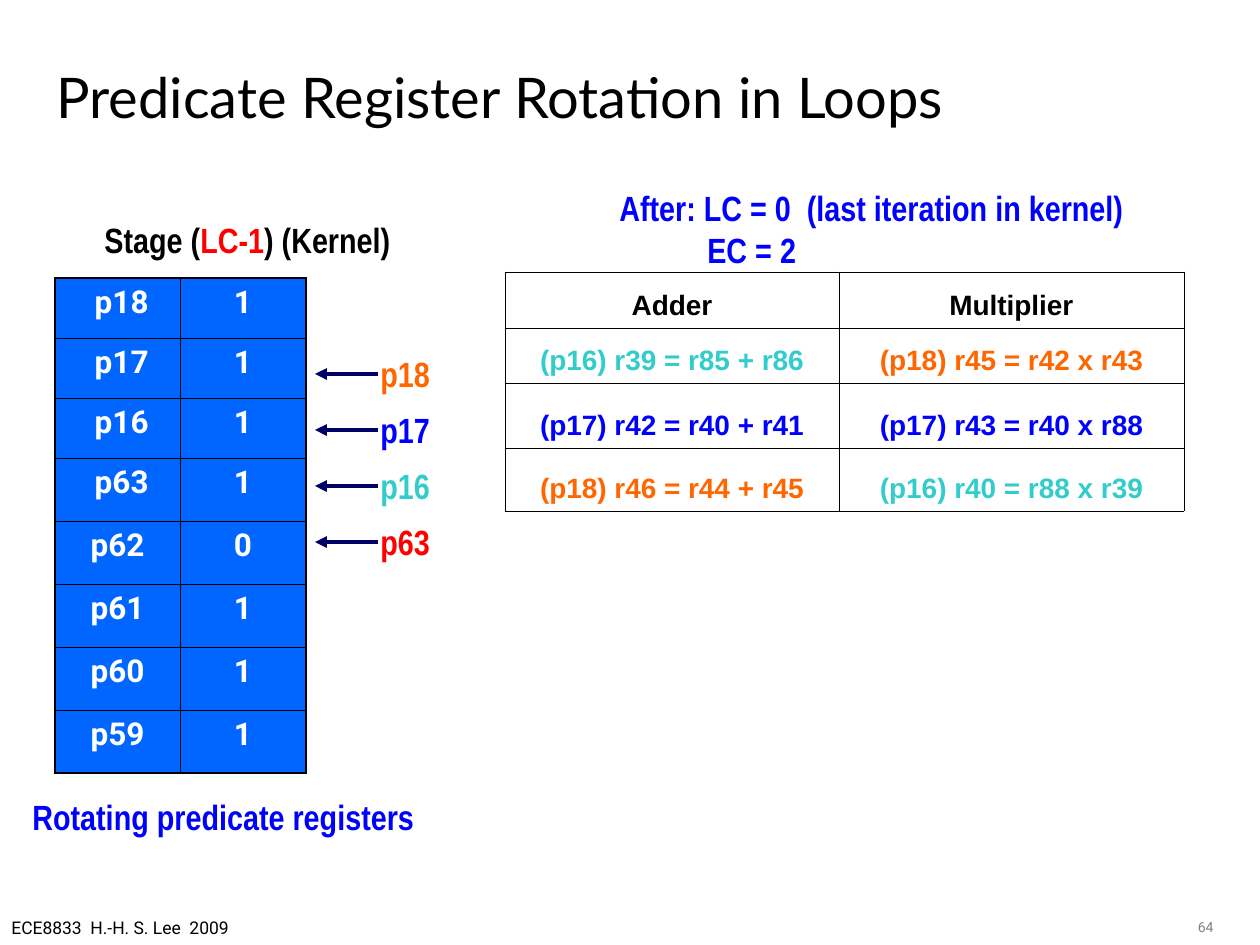
from dataclasses import dataclass

import lxml.etree
import pptx
import pptx.dml.color
import pptx.enum.shapes
import pptx.enum.text
import pptx.oxml
import pptx.oxml.ns
import pptx.util

PX = 914400 / 126
ALIGN = pptx.enum.text.PP_ALIGN
ANCHOR = pptx.enum.text.MSO_ANCHOR


@dataclass(frozen=True)
class Theme:
    black: str = "000000"
    white: str = "FFFFFF"
    gray: str = "808080"
    blue: str = "0000FF"
    navy: str = "000066"
    cell_blue: str = "0066FF"
    red: str = "FF0000"
    orange: str = "FF6600"
    teal: str = "33CCCC"
    title: tuple = ("Lato", 32, False)
    label: tuple = ("Arial Narrow", 20, True)
    register: tuple = ("Roboto", 18, True)
    operation: tuple = ("Arial", 16, True)
    footer: tuple = ("Roboto", 10, False)
    number: tuple = ("Roboto", 8, False)
    thin: float = 0.45
    thick: float = 1.08
    arrow: float = 2.25


THEME = Theme()
STAGE_COLORS = {"p16": THEME.teal, "p17": THEME.blue, "p18": THEME.orange, "p63": THEME.red}


def px(length):
    return pptx.util.Emu(round(length * PX))


def rgb(color):
    return pptx.dml.color.RGBColor.from_string(color)


def write(paragraph, text, style, color, align=ALIGN.LEFT):
    paragraph.text = text
    paragraph.alignment = align
    paragraph.font.name, size, paragraph.font.bold = style
    paragraph.font.size = pptx.util.Pt(size)
    paragraph.font.color.rgb = rgb(color)


def add_text(shapes, box, text, style, color, align=ALIGN.LEFT, wrap=True, anchor=ANCHOR.TOP):
    frame = shapes.add_textbox(*map(px, box)).text_frame
    frame.word_wrap = wrap
    frame.vertical_anchor = anchor
    write(frame.paragraphs[0], text, style, color, align)
    return frame


def set_borders(cell, **widths):
    """Draw black cell borders; widths in points are keyed L, R, T, B in that order."""
    properties = cell._tc.get_or_add_tcPr()
    for side, width in widths.items():
        properties.append(pptx.oxml.parse_xml(
            f'<a:ln{side} {pptx.oxml.ns.nsdecls("a")} w="{pptx.util.Pt(width)}">'
            f'<a:solidFill><a:srgbClr val="{THEME.black}"/></a:solidFill></a:ln{side}>'))


def add_grid(slide, left, top, widths, heights):
    frame = slide.shapes.add_table(len(heights), len(widths), px(left), px(top),
                                   px(sum(widths)), px(sum(heights)))
    table = frame.table
    table.first_row = table.horz_banding = False
    for column, width in zip(table.columns, widths):
        column.width = px(width)
    for row, height in zip(table.rows, heights):
        row.height = px(height)
    return table


def add_register_table(slide, left, top):
    names = ["p18", "p17", "p16", "p63", "p62", "p61", "p60", "p59"]
    values = ["1", "1", "1", "1", "0", "1", "1", "1"]
    table = add_grid(slide, left, top, [125, 126], [60] * 3 + [63] * 5)
    last = len(names) - 1
    for row, texts in enumerate(zip(names, values)):
        for column, text in enumerate(texts):
            cell = table.cell(row, column)
            set_borders(cell,
                        L=THEME.thin if column else THEME.thick,
                        R=THEME.thick if column else THEME.thin,
                        T=THEME.thin if row else THEME.thick,
                        B=THEME.thick if row == last else THEME.thin)
            cell.fill.solid()
            cell.fill.fore_color.rgb = rgb(THEME.cell_blue)
            write(cell.text_frame.paragraphs[0], text, THEME.register, THEME.white, ALIGN.CENTER)
        if row < 4:
            table.cell(row, 0).margin_left = px(21)


def add_operation_table(slide, left, top):
    rows = [
        ("Adder", "Multiplier"),
        ("(p16) r39 = r85 + r86", "(p18) r45 = r42 x r43"),
        ("(p17) r42 = r40 + r41", "(p17) r43 = r40 x r88"),
        ("(p18) r46 = r44 + r45", "(p16) r40 = r88 x r39"),
    ]
    table = add_grid(slide, left, top, [334, 345], [56, 55, 65, 63])
    for row, texts in enumerate(rows):
        for column, text in enumerate(texts):
            cell = table.cell(row, column)
            set_borders(cell, **dict.fromkeys("LRTB", THEME.thin))
            cell.fill.background()
            cell.vertical_anchor = ANCHOR.BOTTOM
            color = STAGE_COLORS.get(text[1:4], THEME.black)
            write(cell.text_frame.paragraphs[0], text, THEME.operation, color, ALIGN.CENTER)


def add_pointer(slide, left, middle, name):
    """Group a register name with an arrow pointing left from it."""
    shapes = slide.shapes.add_group_shape().shapes
    add_text(shapes, (left + 53, middle - 28, 80, 55), name, THEME.label, STAGE_COLORS[name])
    arrow = shapes.add_connector(pptx.enum.shapes.MSO_CONNECTOR.STRAIGHT,
                                 px(left + 63), px(middle), px(left), px(middle))
    arrow.line.color.rgb = rgb(THEME.navy)
    arrow.line.width = pptx.util.Pt(THEME.arrow)
    line = arrow.line._get_or_add_ln()
    lxml.etree.SubElement(line, pptx.oxml.ns.qn("a:tailEnd"), type="triangle")
    lxml.etree.SubElement(arrow._element.spPr, pptx.oxml.ns.qn("a:effectLst"))


def add_register_region(slide, left, top):
    heading = add_text(slide.shapes, (left + 37, top - 66, 311, 55), "",
                       THEME.label, THEME.black).paragraphs[0]
    for text, color in (("Stage (", THEME.black), ("LC-1", THEME.red),
                        (") (Kernel)", THEME.black)):
        run = heading.add_run()
        run.text = text
        run.font.color.rgb = rgb(color)
    add_register_table(slide, left, top)
    for index, name in enumerate(["p18", "p17", "p16", "p63"]):
        add_pointer(slide, left + 260, top + 96 + 56 * index, name)
    add_text(slide.shapes, (left - 35, top + 511, 407, 55), "Rotating predicate registers",
             THEME.label, THEME.blue)


def add_operation_region(slide, left, top):
    frame = add_text(slide.shapes, (left + 102, top - 92, 529, 97),
                     "After: LC = 0  (last iteration in kernel)", THEME.label, THEME.blue)
    counter = frame.add_paragraph()
    counter._p.get_or_add_pPr().set("marL", str(px(88)))
    write(counter, "EC = 2", THEME.label, THEME.blue)
    add_operation_table(slide, left, top)


def add_footer(slide, top):
    add_text(slide.shapes, (-3, top, 246, 34), "ECE8833  H.-H. S. Lee  2009",
             THEME.footer, THEME.black, ALIGN.CENTER, wrap=False)
    add_text(slide.shapes, (1143, top + 1, 83, 21), "64", THEME.number, THEME.gray, ALIGN.RIGHT)


def main():
    presentation = pptx.Presentation()
    presentation.slide_width, presentation.slide_height = px(1260), px(945)
    slide = presentation.slides.add_slide(presentation.slide_layouts[6])
    add_text(slide.shapes, (44, 44, 1134, 105), "Predicate Register Rotation in Loops",
             THEME.title, THEME.black, anchor=ANCHOR.MIDDLE)
    add_operation_region(slide, 505, 272)
    add_register_region(slide, 55, 278)
    add_footer(slide, 911)
    presentation.save("out.pptx")


if __name__ == "__main__":
    main()
